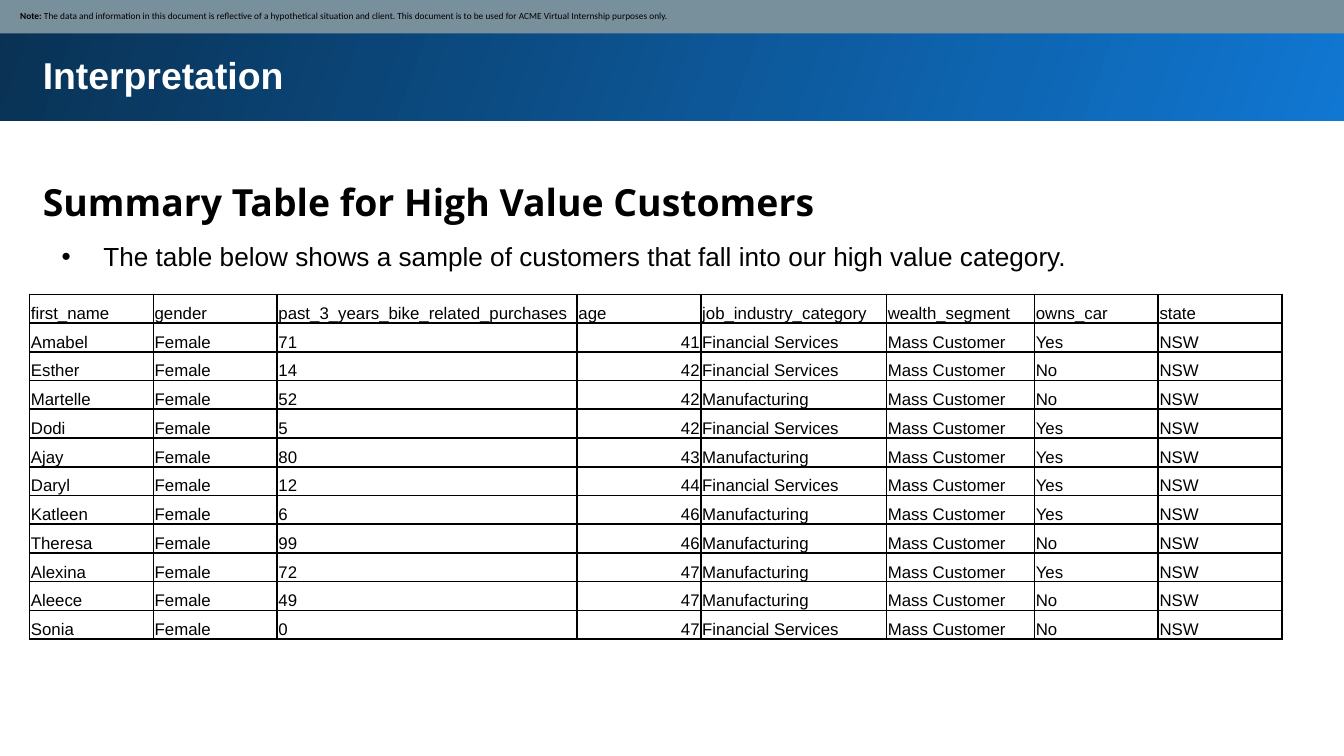
from lxml import etree
from pptx import Presentation
from pptx.dml.color import RGBColor
from pptx.enum.shapes import MSO_SHAPE
from pptx.enum.text import MSO_ANCHOR, PP_ALIGN
from pptx.oxml.ns import qn
from pptx.util import Emu, Inches, Pt

RECTANGLE = MSO_SHAPE.RECTANGLE
TOP, MIDDLE, BOTTOM = MSO_ANCHOR.TOP, MSO_ANCHOR.MIDDLE, MSO_ANCHOR.BOTTOM
LEFT, RIGHT = PP_ALIGN.LEFT, PP_ALIGN.RIGHT

NOTE = [
    ("Note: ", "note_label"),
    ("The data and information in this document is reflective of a hypothetical "
     "situation and client. This document is to be used for ACME Virtual Internship "
     "purposes only.", "note"),
]
TITLE = [("Interpretation", "title")]
HEADING = [("Summary Table for High Value Customers", "heading")]
BULLET = [("The table below shows a sample of customers that fall into our "
           "high value category.", "bullet")]

# Column name, relative width, alignment of the values
COLUMNS = [
    ("first_name", 0.92, LEFT), ("gender", 0.92, LEFT),
    ("past_3_years_bike_related_purchases", 2.23, LEFT), ("age", 0.92, RIGHT),
    ("job_industry_category", 1.38, LEFT), ("wealth_segment", 1.1, LEFT),
    ("owns_car", 0.92, LEFT), ("state", 0.92, LEFT),
]
FINANCE, FACTORY = "Financial Services", "Manufacturing"
# First name, purchases, age, industry, owns a car
CUSTOMERS = [
    ("Amabel", 71, 41, FINANCE, "Yes"),
    ("Esther", 14, 42, FINANCE, "No"),
    ("Martelle", 52, 42, FACTORY, "No"),
    ("Dodi", 5, 42, FINANCE, "Yes"),
    ("Ajay", 80, 43, FACTORY, "Yes"),
    ("Daryl", 12, 44, FINANCE, "Yes"),
    ("Katleen", 6, 46, FACTORY, "Yes"),
    ("Theresa", 99, 46, FACTORY, "No"),
    ("Alexina", 72, 47, FACTORY, "Yes"),
    ("Aleece", 49, 47, FACTORY, "No"),
    ("Sonia", 0, 47, FINANCE, "No"),
]
GENDER, SEGMENT, STATE = "Female", "Mass Customer", "NSW"

THEME = {
    "colors": {"ink": "000000", "white": "FFFFFF", "note_band": "78909C",
               "bright": "1077D2", "navy": "093153"},
    # Font, size, bold, colour
    "text": {
        "note_label": ("Calibri", 5, True, "ink"),
        "note": ("Calibri", 5, False, "ink"),
        "title": ("Arial", 20, True, "white"),
        "heading": ("Open Sans", 20, True, "ink"),
        "bullet": ("Arial", 14, False, "ink"),
        "cell": ("Arial", 9, False, "ink"),
    },
    "border": 1,
}

SLIDE_WIDTH = 10
SLIDE_HEIGHT = SLIDE_WIDTH * 9 / 16
MARGIN, TEXT_WIDTH = 0.22, 9.37
TABLE_TOP, TABLE_WIDTH, TABLE_HEIGHT = 2.19, 9.32, 2.57
CELL_INSETS = (0.01, 0.01, 0.01, 0)


def color(name):
    """Return a theme colour."""
    return RGBColor.from_string(THEME["colors"][name])


def set_values(target, values):
    """Set attributes from a dict."""
    for name, value in values.items():
        setattr(target, name, value)


def set_insets(target, insets):
    """Set left, top, right and bottom margins in inches."""
    sides = ("margin_left", "margin_top", "margin_right", "margin_bottom")
    set_values(target, {side: Inches(inset) for side, inset in zip(sides, insets)})


def write(frame, spans, **paragraph):
    """Write styled spans into the first paragraph of a frame."""
    para = frame.paragraphs[0]
    set_values(para, {"alignment": LEFT, **paragraph})
    for text, style in spans:
        span = para.add_run()
        span.text = text
        font, size, bold, ink = THEME["text"][style]
        set_values(span.font, {"name": font, "size": Pt(size), "bold": bold})
        span.font.color.rgb = color(ink)
    return para


def set_indent(para, margin, first=0):
    """Set a paragraph's left margin and first-line indent in inches."""
    properties = para._p.get_or_add_pPr()
    properties.set("marL", str(Inches(margin)))
    properties.set("indent", str(Inches(first)))
    return properties


def add_band(page, place):
    """Add a borderless rectangle."""
    band = page.shapes.add_shape(RECTANGLE, *map(Inches, place))
    band.shadow.inherit = False
    band.line.fill.background()
    return band


def add_text(page, place, spans, inset, **paragraph):
    """Add a wrapping text box."""
    frame = page.shapes.add_textbox(*map(Inches, place)).text_frame
    set_values(frame, {"word_wrap": True, "vertical_anchor": TOP})
    set_insets(frame, [inset] * 4)
    return write(frame, spans, **paragraph)


def add_borders(cell):
    """Draw a solid line on all four sides of a cell."""
    properties = cell._tc.get_or_add_tcPr()
    for side in ("lnL", "lnR", "lnT", "lnB"):
        line = etree.SubElement(properties, qn("a:" + side), w=str(Pt(THEME["border"])))
        fill = etree.SubElement(line, qn("a:solidFill"))
        etree.SubElement(fill, qn("a:srgbClr"), val=THEME["colors"]["ink"])


def add_customer_table(page):
    """Add the table of sample customers."""
    names, widths, alignments = zip(*COLUMNS)
    rows = [names] + [
        (name, GENDER, purchases, age, industry, SEGMENT, car, STATE)
        for name, purchases, age, industry, car in CUSTOMERS
    ]
    table = page.shapes.add_table(
        len(rows), len(names), Inches(MARGIN), Inches(TABLE_TOP),
        Inches(TABLE_WIDTH), Inches(TABLE_HEIGHT)).table
    set_values(table, {"first_row": False, "horz_banding": False})
    for column, width in zip(table.columns, widths):
        column.width = Inches(TABLE_WIDTH * width / sum(widths))
    for index, values in enumerate(rows):
        table.rows[index].height = Emu(Inches(TABLE_HEIGHT) // len(rows))
        for cell, value, alignment in zip(table.rows[index].cells, values, alignments):
            cell.vertical_anchor = BOTTOM
            set_insets(cell, CELL_INSETS)
            add_borders(cell)
            cell.fill.background()
            write(cell.text_frame, [(str(value), "cell")],
                  alignment=alignment if index else LEFT)


def build():
    """Build and save the slide."""
    deck = Presentation()
    deck.slide_width, deck.slide_height = Inches(SLIDE_WIDTH), Inches(SLIDE_HEIGHT)
    page = deck.slides.add_slide(deck.slide_layouts[6])

    title_band = add_band(page, (-0.02, -0.02, 10.05, 0.92))
    title_band.fill.gradient()
    title_band.fill.gradient_angle = 160
    for stop, name, position in zip(title_band.fill.gradient_stops,
                                    ("bright", "navy"), (0, 1)):
        stop.color.rgb = color(name)
        stop.position = position

    add_text(page, (MARGIN, 0.29, TEXT_WIDTH, 0.83), TITLE, 0.1)
    add_text(page, (MARGIN, 1.18, TEXT_WIDTH, 0.56), HEADING, 0.1, line_spacing=1.15)

    note_band = add_band(page, (-0.01, -0.01, 10.03, 0.26))
    note_band.fill.solid()
    note_band.fill.fore_color.rgb = color("note_band")
    note_band.text_frame.vertical_anchor = MIDDLE
    set_insets(note_band.text_frame, [0.05] * 4)
    set_indent(write(note_band.text_frame, NOTE), 0.11)

    add_customer_table(page)

    bullet = add_text(page, (0.41, 1.74, 7.83, 0.34), BULLET, 0.05)
    properties = set_indent(bullet, 0.31, -0.31)
    etree.SubElement(properties, qn("a:buFont"), typeface="Arial")
    etree.SubElement(properties, qn("a:buChar"), char="•")

    deck.save("out.pptx")


build()
